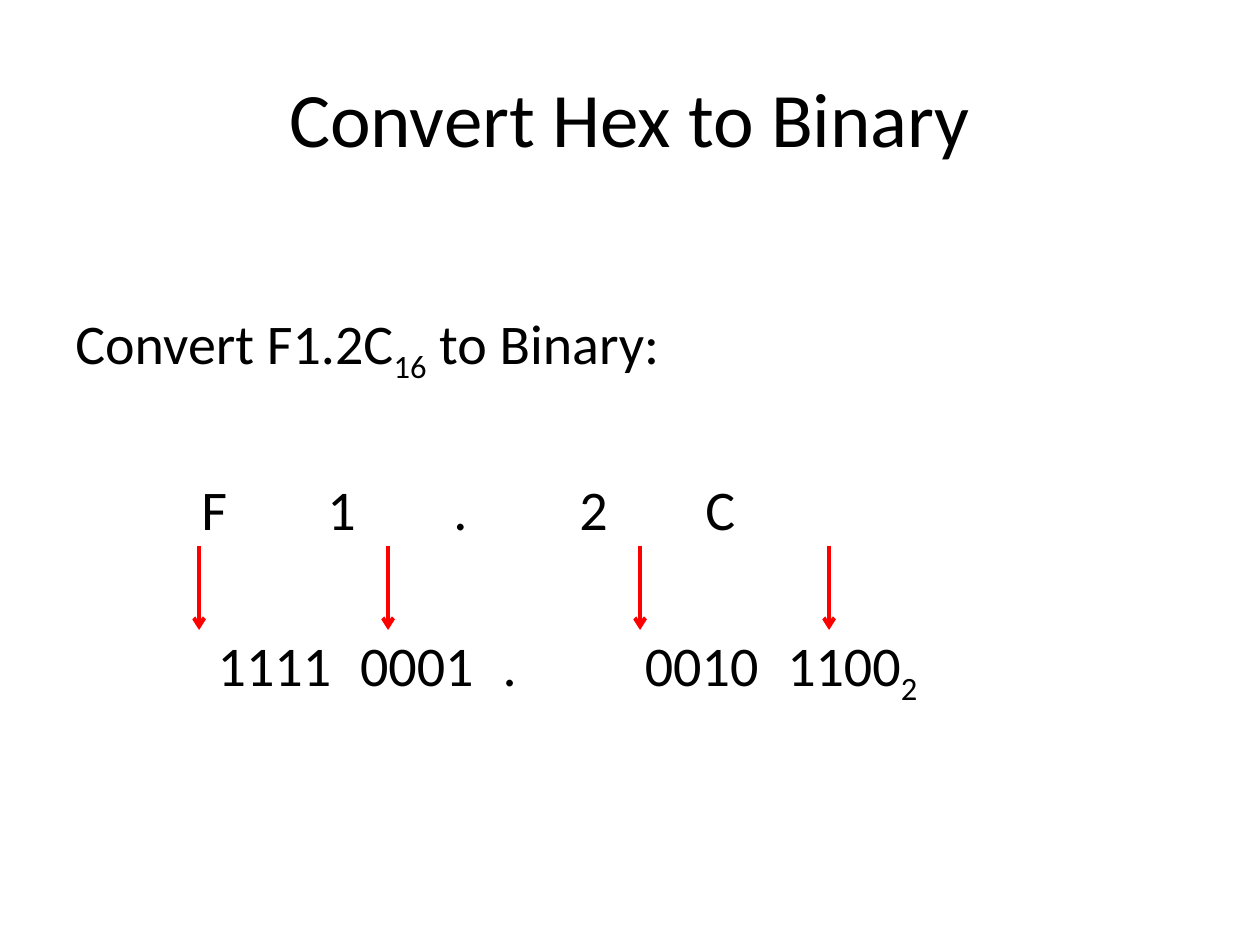
from dataclasses import dataclass

from lxml import etree
from pptx import Presentation
from pptx.dml.color import RGBColor
from pptx.enum.shapes import MSO_CONNECTOR
from pptx.enum.text import MSO_ANCHOR, PP_ALIGN
from pptx.oxml.ns import qn
from pptx.util import Inches, Pt

STRAIGHT = MSO_CONNECTOR.STRAIGHT
MIDDLE, TOP = MSO_ANCHOR.MIDDLE, MSO_ANCHOR.TOP
CENTER, LEFT = PP_ALIGN.CENTER, PP_ALIGN.LEFT


@dataclass(frozen=True)
class Theme:
    font: str = "Calibri"
    text: RGBColor = RGBColor(0, 0, 0)
    arrow: RGBColor = RGBColor(255, 0, 0)
    title_size: Pt = Pt(44)
    body_size: Pt = Pt(32)
    arrow_width: Pt = Pt(2.25)
    row_gap: Pt = Pt(51)
    subscript: str = "-25000"


THEME = Theme()


def add_text_frame(slide, box, anchor):
    frame = slide.shapes.add_textbox(*map(Inches, box)).text_frame
    frame.word_wrap = True
    frame.vertical_anchor = anchor
    return frame


def add_run(paragraph, text, size, subscript=False):
    run = paragraph.add_run()
    run.text = text
    formats = {"name": THEME.font, "size": size}
    for name, value in formats.items():
        setattr(run.font, name, value)
    run.font.color.rgb = THEME.text
    if subscript:
        run.font._element.set("baseline", THEME.subscript)


def set_tabs(paragraph, first, step, count):
    """Set evenly spaced left tab stops."""
    tab_list = etree.SubElement(paragraph._p.get_or_add_pPr(), qn("a:tabLst"))
    for index in range(count):
        position = Inches(first + index * step)
        etree.SubElement(tab_list, qn("a:tab"), pos=str(int(position)), algn="l")


def add_title(slide, box, text):
    paragraph = add_text_frame(slide, box, MIDDLE).paragraphs[0]
    paragraph.alignment = CENTER
    add_run(paragraph, text, THEME.title_size)


def add_conversion(slide, box):
    """Place the question, the hex digits and their binary groups."""
    hex_digits = ["F", "1", ".", "2", "C"]
    binary_groups = ["1111", "0001", ".", "0010", "1100"]
    # Each row: runs as (text, is subscript), then tab spacing
    rows = [
        ([("Convert F1.2C", False), ("16", True), (" to Binary:", False)], None),
        ([("\t" + "\t".join(hex_digits), False)], 1),
        ([("\t" + "\t".join(binary_groups), False), ("2", True)], 1.13),
    ]
    frame = add_text_frame(slide, box, TOP)
    frame.margin_top = Inches(0.7)
    for index, (runs, tab_step) in enumerate(rows):
        paragraph = frame.add_paragraph() if index else frame.paragraphs[0]
        paragraph.alignment = LEFT
        if index:
            paragraph.space_before = THEME.row_gap
        if tab_step:
            set_tabs(paragraph, tab_step, tab_step, len(hex_digits))
        for text, subscript in runs:
            add_run(paragraph, text, THEME.body_size, subscript)


def add_arrows(slide, box):
    """Place the down arrows between hex digits and binary groups."""
    left, top, width, height = box
    for fraction in (0, 0.3, 0.7, 1):
        x = Inches(left + width * fraction)
        arrow = slide.shapes.add_connector(
            STRAIGHT, x, Inches(top), x, Inches(top + height))
        arrow.line.color.rgb = THEME.arrow
        arrow.line.width = THEME.arrow_width
        etree.SubElement(arrow.line._get_or_add_ln(), qn("a:tailEnd"), type="arrow")
        etree.SubElement(arrow._element.spPr, qn("a:effectLst"))


def main():
    presentation = Presentation()
    presentation.slide_width = Inches(10)
    presentation.slide_height = Inches(7.5)
    slide = presentation.slides.add_slide(presentation.slide_layouts[6])

    add_title(slide, (0.5, 0.3, 9, 1.25), "Convert Hex to Binary")
    add_conversion(slide, (0.5, 1.75, 9, 4.95))
    add_arrows(slide, (1.58, 4.33, 5, 0.67))

    presentation.save("out.pptx")


if __name__ == "__main__":
    main()
